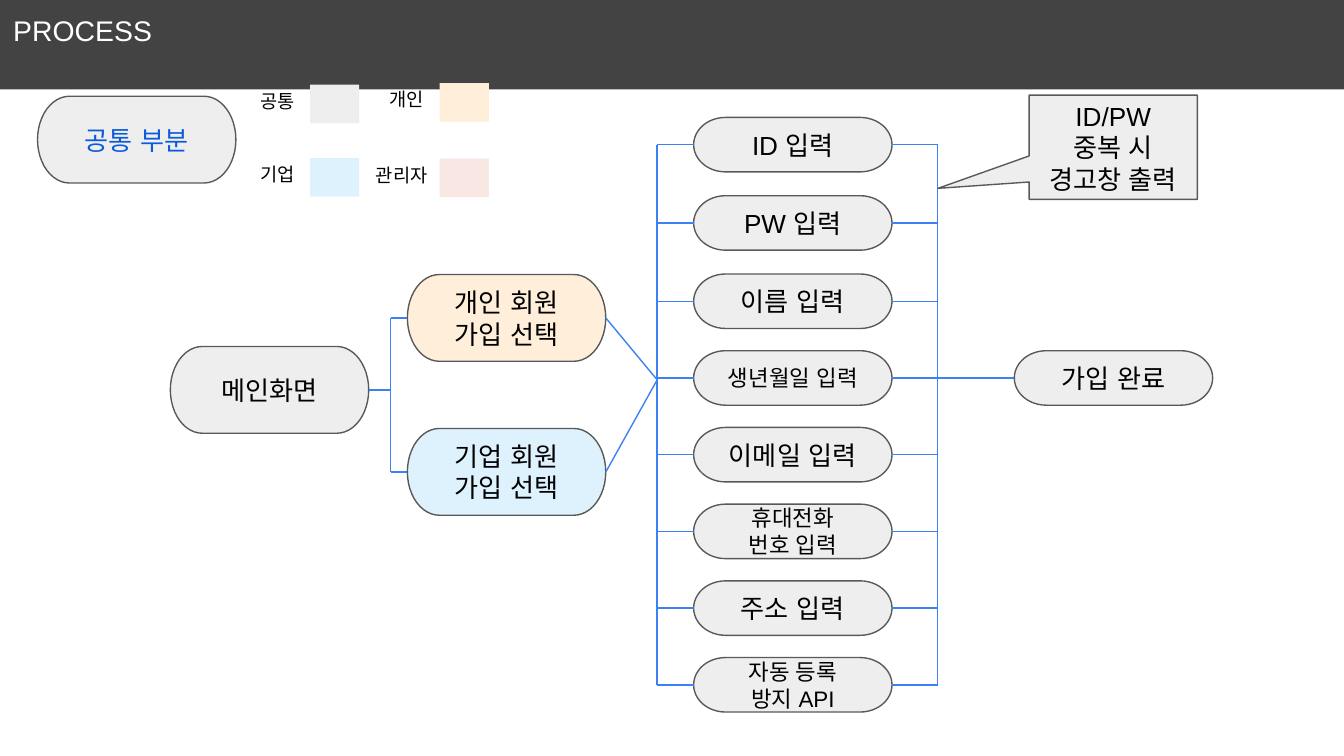
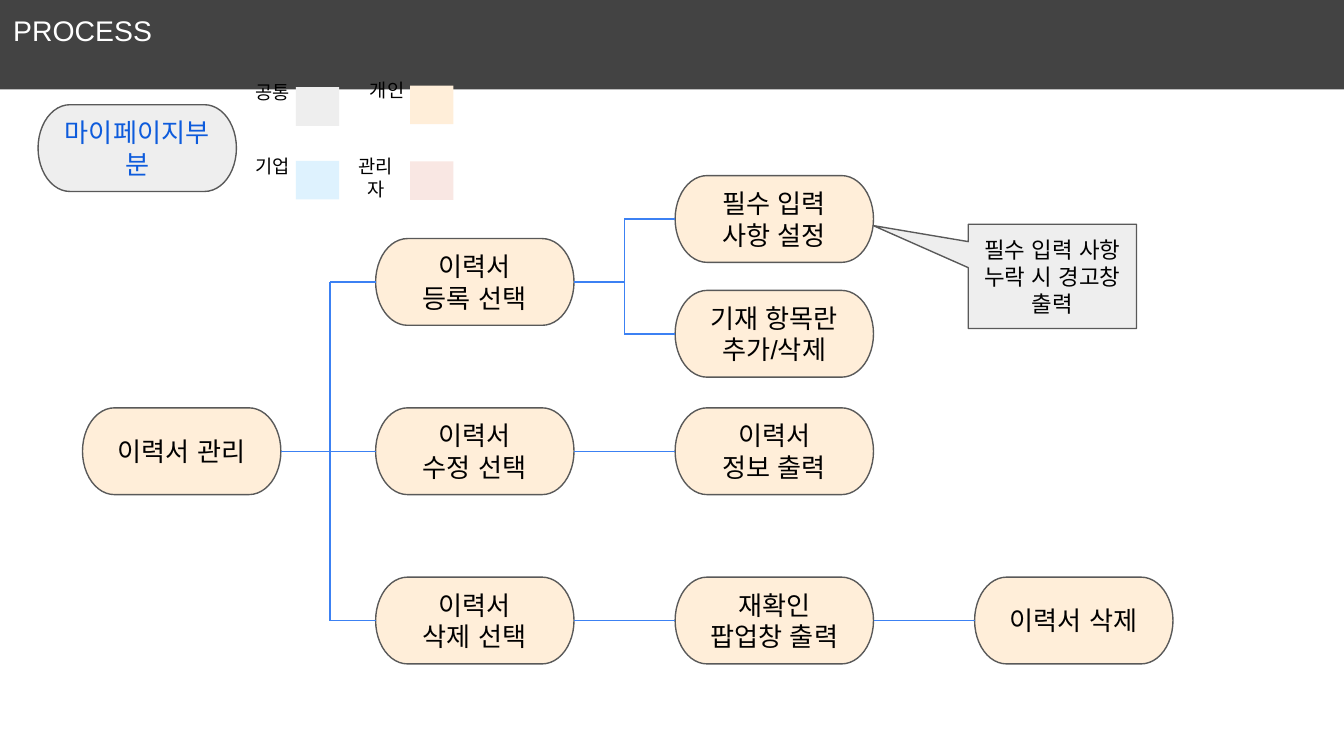
from dataclasses import dataclass
from itertools import pairwise
from typing import NamedTuple

from lxml.etree import SubElement
from pptx import Presentation
from pptx.dml.color import RGBColor as RGB
from pptx.enum.lang import MSO_LANGUAGE_ID as LANG
from pptx.enum.shapes import MSO_CONNECTOR as CONN, MSO_SHAPE as SHAPE
from pptx.enum.text import MSO_ANCHOR as ANCHOR, PP_ALIGN as ALIGN
from pptx.oxml.ns import qn
from pptx.util import Cm, Pt


@dataclass(frozen=True)
class Theme:
    font: str = "Arial"
    band: str = "434343"
    white: str = "FFFFFF"
    black: str = "000000"
    heading: str = "0D5BDC"
    common: str = "EEEEEE"
    personal: str = "FFEED9"
    company: str = "DEF2FE"
    admin: str = "F9E7E3"
    outline: str = "595959"
    link: str = "3C81F3"
    title_pt: float = 15.2
    node_pt: float = 14
    small_pt: float = 12
    legend_pt: float = 10
    line_pt: float = 0.75


class Box(NamedTuple):
    """A rectangle in centimetres, with the points where links attach."""
    x: float
    y: float
    w: float
    h: float

    @property
    def mid(self):
        return self.y + self.h / 2

    @property
    def left(self):
        return self.x, self.mid

    @property
    def right(self):
        return self.x + self.w, self.mid


T = Theme()
SLIDE_W, SLIDE_H = 25.4, 14.29
BAND = Box(0, 0, SLIDE_W, 1.69)
NODE_W, NODE_H, FIELD_H = 3.75, 1.64, 1.03
CALLOUT_W, CALLOUT_H = 3.18, 1.97
INSET = 0.25
LEGEND_W, LEGEND_H = 4.62, 2.5


def node_box(x, y, h=NODE_H):
    return Box(x, y, NODE_W, h)


def set_format(obj, values):
    for name, value in values.items():
        setattr(obj, name, value)


def write(tf, text, size, color=T.black, align=ALIGN.CENTER, **frame):
    """Fill a text frame, one paragraph for each line of text."""
    margins = dict.fromkeys(
        ("margin_left", "margin_top", "margin_right", "margin_bottom"), Cm(INSET))
    set_format(tf, {"word_wrap": True, "vertical_anchor": ANCHOR.MIDDLE,
                    **margins, **frame})
    for i, line in enumerate(text.split("\n")):
        p = tf.paragraphs[0] if i == 0 else tf.add_paragraph()
        p.alignment = align
        r = p.add_run()
        r.text = line
        set_format(r.font, {"name": T.font, "size": Pt(size),
                            "language_id": LANG.KOREAN})
        r.font.color.rgb = RGB.from_string(color)


def draw(s, kind, box, fill, outline=None):
    sp = s.shapes.add_shape(kind, *map(Cm, box))
    sp.shadow.inherit = False
    sp.fill.solid()
    sp.fill.fore_color.rgb = RGB.from_string(fill)
    if outline:
        sp.line.color.rgb = RGB.from_string(outline)
        sp.line.width = Pt(T.line_pt)
    else:
        sp.line.fill.background()
    return sp


def node(s, box, text, fill=T.common, size=T.node_pt, color=T.black):
    sp = draw(s, SHAPE.FLOWCHART_TERMINATOR, box, fill, T.outline)
    write(sp.text_frame, text, size, color)


def callout(s, x, y, text, tip, size):
    """A note whose pointer ends at tip, a fraction of its size from its centre."""
    box = Box(x, y, CALLOUT_W, CALLOUT_H)
    sp = draw(s, SHAPE.RECTANGULAR_CALLOUT, box, T.common, T.outline)
    sp.adjustments[0], sp.adjustments[1] = tip
    write(sp.text_frame, text, size)


def link(s, *points):
    """Join the points in turn with straight lines."""
    for start, end in pairwise(points):
        c = s.shapes.add_connector(CONN.STRAIGHT, *map(Cm, (*start, *end)))
        c.line.color.rgb = RGB.from_string(T.link)
        c.line.width = Pt(T.line_pt)
        SubElement(c._element.spPr, qn("a:effectLst"))


def title_band(s, box):
    sp = draw(s, SHAPE.RECTANGLE, box, T.band)
    write(sp.text_frame, "PROCESS", T.title_pt, T.white, ALIGN.LEFT,
          vertical_anchor=ANCHOR.TOP)


def legend(s, box):
    """Colour key in two columns, squeezed sideways to the width of the box."""
    k = box.w / LEGEND_W
    group = s.shapes.add_group_shape()
    entries = (("공통", T.common, 1.24, 0.28), ("개인", T.personal, 3.69, 0.25),
               ("기업", T.company, 1.24, 1.67), ("관리자", T.admin, 3.69, 1.68))

    class Host(NamedTuple):
        shapes: object

    for text, fill, dx, dy in entries:
        long = len(text) > 2
        gap, width = (1.52, 1.85) if long else (1.22, 1.45)
        x, y = box.x + dx * k, box.y + dy
        raised = k < 1 and not long
        tb = group.shapes.add_textbox(
            *map(Cm, (x - gap * k, y - 0.25, width * k, 1.12)))
        write(tb.text_frame, text, T.legend_pt, word_wrap=False,
              vertical_anchor=ANCHOR.TOP if raised else ANCHOR.MIDDLE,
              margin_right=Cm(INSET if raised else 2 * INSET),
              margin_top=Cm(0.13), margin_bottom=Cm(0.13))
        draw(Host(group.shapes), SHAPE.RECTANGLE, Box(x, y, 0.93 * k, 0.73), fill)


def process_slide(prs, heading, heading_box, legend_box):
    """Add a slide with the parts that every process slide shares."""
    s = prs.slides.add_slide(prs.slide_layouts[6])
    title_band(s, BAND)
    node(s, heading_box, heading, color=T.heading)
    legend(s, legend_box)
    return s


def member_choice(s, box, merge):
    """Main screen branching into two member types that meet at merge."""
    main = node_box(box.x, box.y + 1.36)
    node(s, main, "메인화면")
    rail = box.x + 4.16
    choices = (("개인 회원 가입 선택", T.personal, 0),
               ("기업 회원 가입 선택", T.company, box.h - NODE_H))
    ends = []
    for text, fill, dy in choices:
        choice = node_box(box.x + box.w - NODE_W, box.y + dy)
        node(s, choice, text, fill)
        link(s, choice.left, (rail, choice.mid))
        link(s, choice.right, merge)
        ends.append((rail, choice.mid))
    link(s, *ends)
    link(s, main.right, (rail, main.mid))


def entry_fields(s, box):
    """Column of form fields between two rails at the sides of the box."""
    fields = (("ID 입력", T.node_pt), ("PW 입력", T.node_pt),
              ("이름 입력", T.node_pt), ("생년월일 입력", T.small_pt),
              ("이메일 입력", T.node_pt), ("휴대전화\n번호 입력", T.small_pt),
              ("주소 입력", T.node_pt), ("자동 등록\n방지 API", T.small_pt))
    rails = box.x, box.x + box.w
    boxes = [node_box(box.x + 0.69, box.y + 1.45 * i + 0.03 * min(i, 2), FIELD_H)
             for i in range(len(fields))]
    for field, (text, size) in zip(boxes, fields):
        node(s, field, text, size=size)
        link(s, (rails[0], field.mid), field.left)
        link(s, field.right, (rails[1], field.mid))
    for x in rails:
        link(s, (x, boxes[0].mid), (x, boxes[-1].mid))


def sign_up_slide(prs):
    s = process_slide(prs, "공통 부분", node_box(0.71, 1.82),
                      Box(4.62, 1.32, LEGEND_W, LEGEND_H))
    form = Box(12.42, 2.22, 5.3, 11.24)
    done = node_box(19.17, 6.63, FIELD_H)
    member_choice(s, Box(3.22, 5.19, 8.23, 4.55), (form.x, 7.18))
    entry_fields(s, form)
    node(s, done, "가입 완료")
    link(s, (form.x + form.w, done.mid), done.left)
    callout(s, 19.45, 1.8, "ID/PW\n중복 시 경고창 출력", (-1.042, 0.394), T.node_pt)


def resume_flow(s, box):
    """Root node at the left, three actions in rows, and what follows each."""
    cols = [box.x + 5.54 + 5.66 * i for i in range(3)]
    rows = [box.y + 1.19 + 3.2 * i for i in range(3)]
    root = node_box(box.x, rows[1])
    register, edit, delete = (node_box(cols[0], y) for y in rows)
    required = node_box(cols[1], box.y)
    items = node_box(cols[1], box.y + 2.17)
    output, confirm = (node_box(cols[1], y) for y in rows[1:])
    removed = node_box(cols[2], rows[2])
    for place, text in (
            (root, "이력서 관리"), (register, "이력서\n등록 선택"),
            (edit, "이력서\n수정 선택"), (delete, "이력서\n삭제 선택"),
            (required, "필수 입력\n사항 설정"), (items, "기재 항목란 추가/삭제"),
            (output, "이력서\n정보 출력"), (confirm, "재확인\n팝업창 출력"),
            (removed, "이력서 삭제")):
        node(s, place, text, T.personal)

    for start, end in ((root, edit), (edit, output),
                       (delete, confirm), (confirm, removed)):
        link(s, start.right, end.left)
    for rail, top, bottom in ((box.x + 4.68, register, delete),
                              (box.x + 10.24, required, items)):
        link(s, top.left, (rail, top.mid), (rail, bottom.mid), bottom.left)
    link(s, register.right, (box.x + 10.24, register.mid))


def my_page_slide(prs):
    s = process_slide(prs, "마이페이지부분", node_box(0.72, 1.98),
                      Box(4.5, 1.37, 4.07, LEGEND_H))
    resume_flow(s, Box(1.56, 3.32, 20.61, 9.23))
    callout(s, 18.3, 4.24, "필수 입력 사항 누락 시 경고창 출력",
            (-1.065, -0.487), T.small_pt)


def main():
    prs = Presentation()
    prs.slide_width, prs.slide_height = Cm(SLIDE_W), Cm(SLIDE_H)
    sign_up_slide(prs)
    my_page_slide(prs)
    prs.save("out.pptx")


if __name__ == "__main__":
    main()
